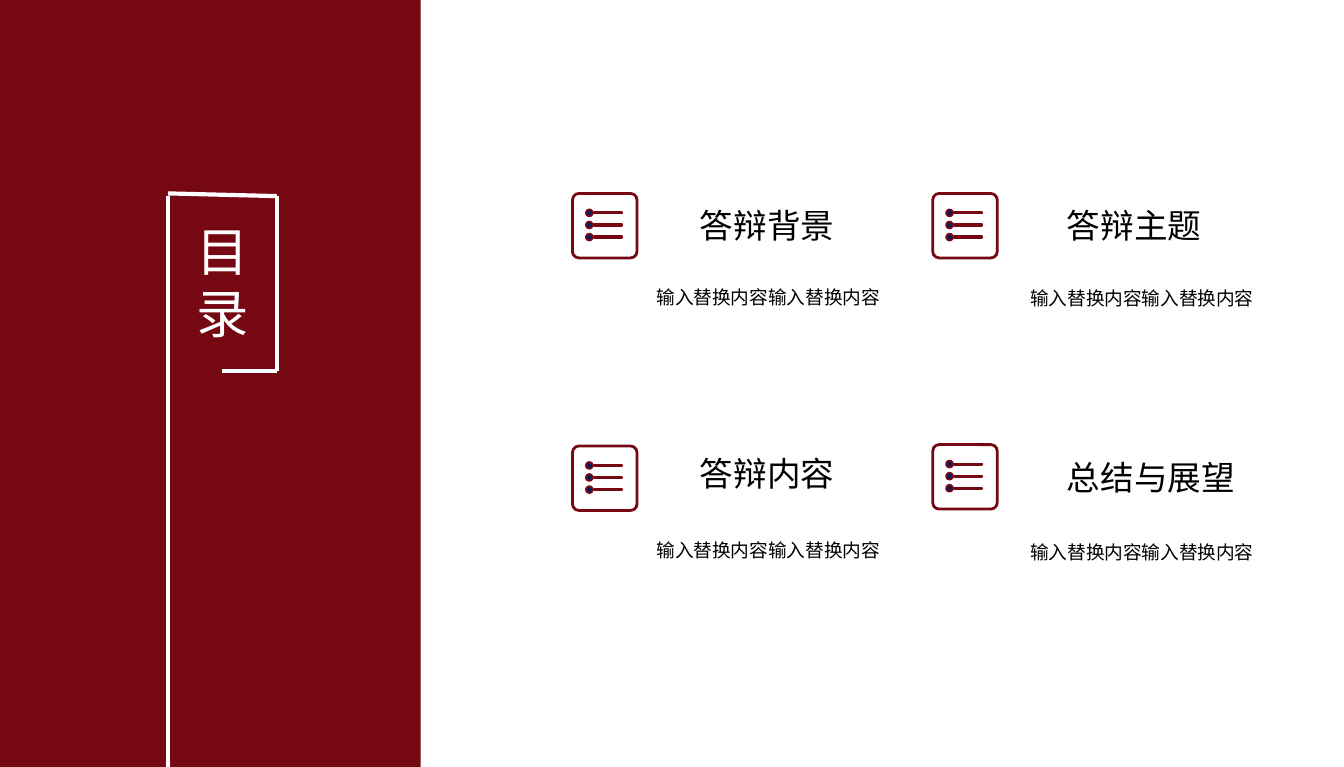
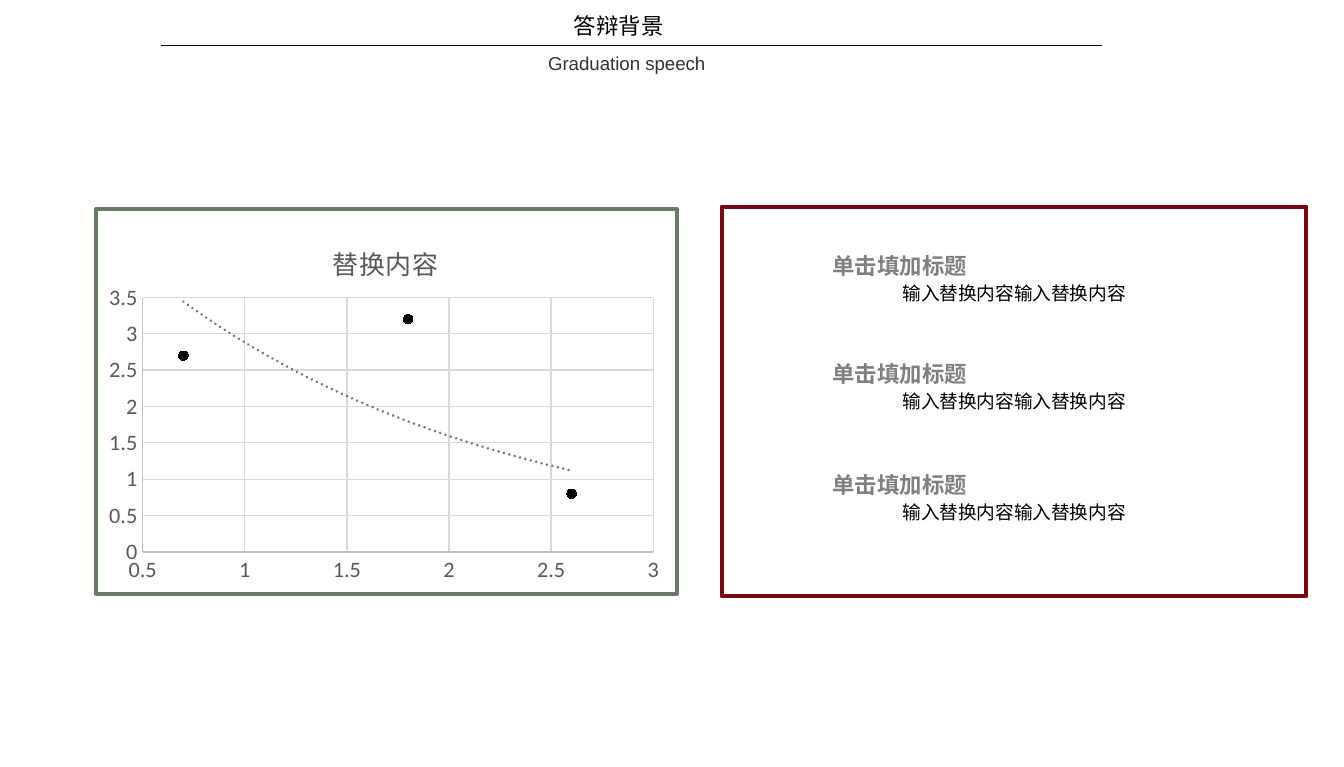
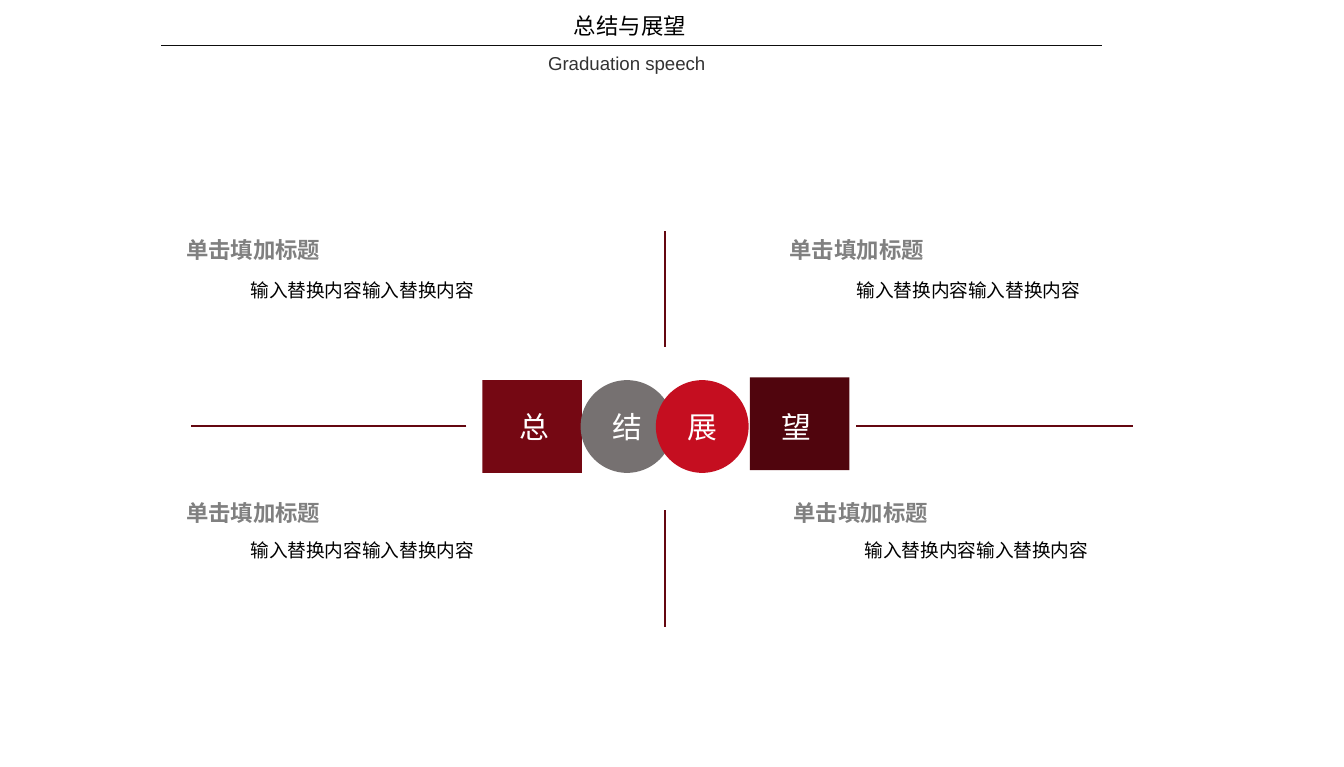
from dataclasses import dataclass

from lxml import etree
from pptx import Presentation
from pptx import util as u
from pptx.chart.data import XyChartData
from pptx.dml.color import RGBColor
from pptx.enum import chart as charts, shapes, text
from pptx.oxml import parse_xml
from pptx.oxml.ns import nsdecls, qn

PX = 9144
SHAPE = shapes.MSO_SHAPE
LEFT, CENTER = text.PP_ALIGN.LEFT, text.PP_ALIGN.CENTER


@dataclass(frozen=True)
class Theme:
    font: str = "Noto Sans CJK SC"
    latin: str = "Arial"
    numerals: str = "Calibri"
    white: str = "FFFFFF"
    black: str = "000000"
    wine: str = "750813"
    wine_dark: str = "50050D"
    wine_line: str = "640710"
    red: str = "C50E20"
    navy: str = "002060"
    taupe: str = "767171"
    grey: str = "808080"
    rule: str = "0D0D0D"
    subtitle: str = "333333"
    sage: str = "697A67"
    chart_text: str = "595959"
    axis: str = "BFBFBF"
    grid: str = "D9D9D9"
    contents_size: int = 28
    item_size: int = 18
    badge_size: int = 16
    chart_title_size: int = 14
    head_size: int = 12
    body_size: int = 10


def rgb(color):
    return RGBColor.from_string(color)


def set_line(line, color, width):
    line.color.rgb = rgb(color)
    line.width = u.Pt(width)


def set_font(font, size, color, name, bold=False):
    font.size, font.bold, font.name = u.Pt(size), bold, name
    font.color.rgb = rgb(color)


def manual_layout(x, y, w=None, h=None):
    inner = '<c:layoutTarget val="inner"/>' if w else ""
    modes = '<c:xMode val="edge"/><c:yMode val="edge"/>'
    sides = {"x": x, "y": y, "w": w, "h": h}
    values = "".join(f'<c:{k} val="{v}"/>' for k, v in sides.items() if v)
    return parse_xml(f'<c:layout {nsdecls("c")}><c:manualLayout>'
                     f'{inner}{modes}{values}</c:manualLayout></c:layout>')


class Deck:
    def __init__(self, width, height):
        self.prs = Presentation()
        self.prs.slide_width, self.prs.slide_height = width * PX, height * PX
        self.theme = Theme()
        self.slide = None

    def new_slide(self):
        self.slide = self.prs.slides.add_slide(self.prs.slide_layouts[5])

    def set_text(self, sp, content, size, color, align=LEFT, font=None, bold=False,
                 spacing=None):
        p = sp.text_frame.paragraphs[0]
        p.text = content
        p.alignment = align
        if spacing:
            p.line_spacing = spacing
        font = font or self.theme.font
        set_font(p.font, size, color, font, bold)
        latin = p._p.pPr.find(qn("a:defRPr")).find(qn("a:latin"))
        latin.addnext(parse_xml(f'<a:ea {nsdecls("a")} typeface="{font}"/>'))

    def fit(self, sp, wrap, anchor=text.MSO_ANCHOR.TOP):
        tf = sp.text_frame
        tf.word_wrap = wrap
        tf.auto_size = text.MSO_AUTO_SIZE.SHAPE_TO_FIT_TEXT
        tf.vertical_anchor = anchor

    def title(self, x, y, w, h, content, size, color, wrap=False):
        sp = self.slide.shapes.title
        sp.element.getparent().append(sp.element)
        sp.left, sp.top, sp.width, sp.height = [v * PX for v in (x, y, w, h)]
        self.fit(sp, wrap)
        self.set_text(sp, content, size, color)

    def text(self, x, y, w, h, content, size, color=None, wrap=True, inset=True, **style):
        sp = self.slide.shapes.add_textbox(x * PX, y * PX, w * PX, h * PX)
        self.fit(sp, wrap)
        if not inset:
            tf = sp.text_frame
            tf.margin_left = tf.margin_right = tf.margin_top = tf.margin_bottom = 0
        self.set_text(sp, content, size, color or self.theme.black, **style)

    def heading(self, x, y):
        self.text(x, y, 137, 24, "单击填加标题", self.theme.head_size, self.theme.grey,
                  inset=False, align=CENTER, bold=True, spacing=1.2)

    def caption(self, x, y, w=297, h=27):
        self.text(x, y, w, h, "输入替换内容输入替换内容", self.theme.body_size, align=CENTER)

    def shape(self, kind, x, y, w, h, fill=None, line=None, width=1, parent=None):
        sp = (parent or self.slide).shapes.add_shape(kind, x * PX, y * PX, w * PX, h * PX)
        sp.shadow.inherit = False
        if fill:
            sp.fill.solid()
            sp.fill.fore_color.rgb = rgb(fill)
        else:
            sp.fill.background()
        if line:
            set_line(sp.line, line, width)
        else:
            sp.line.fill.background()
        return sp

    def line(self, x1, y1, x2, y2, color, width):
        ln = self.slide.shapes.add_connector(
            shapes.MSO_CONNECTOR.STRAIGHT, x1 * PX, y1 * PX, x2 * PX, y2 * PX)
        set_line(ln.line, color, width)
        etree.SubElement(ln._element.spPr, qn("a:effectLst"))

    def list_icon(self, x, y):
        t = self.theme
        group = self.slide.shapes.add_group_shape()
        frame = self.shape(SHAPE.ROUNDED_RECTANGLE, x, y, 48, 48, None, t.wine, 1.5, group)
        frame.adjustments[0] = 0.1
        for row in range(3):
            top = y + 12 + 9 * row
            self.shape(SHAPE.OVAL, x + 10, top, 5, 5, t.navy, t.wine, 1, group)
            self.shape(SHAPE.RECTANGLE, x + 16, top + 2, 21, 1, t.navy, t.wine, 1, group)

    def badge(self, x, fill, content):
        sp = self.shape(SHAPE.OVAL, x, 283, 69, 69, fill)
        sp.text_frame.vertical_anchor = text.MSO_ANCHOR.MIDDLE
        self.set_text(sp, content, self.theme.badge_size, self.theme.white, CENTER)

    def header(self, content, width):
        t = self.theme
        self.line(120, 34, 820, 34, t.rule, 0.5)
        self.title(417, 4, width, 30, content, t.head_size, t.black)
        self.text(398, 34, 167, 27, "Graduation speech", t.body_size, t.subtitle, font=t.latin)

    def scatter(self, x, y, w, h, title, points):
        t = self.theme
        data = XyChartData()
        series = data.add_series("Series 1")
        for point in points:
            series.add_data_point(*point)
        chart = self.slide.shapes.add_chart(
            charts.XL_CHART_TYPE.XY_SCATTER, x * PX, y * PX, w * PX, h * PX, data).chart
        set_font(chart.font, t.body_size, t.black, t.numerals)
        chart.has_legend = False
        chart.has_title = True
        p = chart.chart_title.text_frame.paragraphs[0]
        p.text = title
        set_font(p.font, t.chart_title_size, t.chart_text, t.font)
        self.style_axis(chart.category_axis, 0.5, 3)
        self.style_axis(chart.value_axis, 0, 3.5)
        self.style_points(chart.plots[0])
        self.frame_chart(chart)

    def style_axis(self, axis, low, high):
        t = self.theme
        axis.minimum_scale, axis.maximum_scale, axis.major_unit = low, high, 0.5
        axis.major_tick_mark = axis.minor_tick_mark = charts.XL_TICK_MARK.NONE
        axis.has_major_gridlines = True
        set_line(axis.major_gridlines.format.line, t.grid, 0.75)
        set_line(axis.format.line, t.axis, 0.75)
        set_font(axis.tick_labels.font, t.head_size, t.chart_text, t.numerals)

    def style_points(self, plot):
        t = self.theme
        plot.vary_by_categories = False
        series = plot.series[0]
        series.format.line.fill.background()
        marker = series.marker
        marker.style, marker.size = charts.XL_MARKER_STYLE.CIRCLE, 5
        marker.format.fill.solid()
        marker.format.fill.fore_color.rgb = rgb(t.black)
        set_line(marker.format.line, t.black, 0.75)
        series._element.find(qn("c:xVal")).addprevious(parse_xml(
            f'<c:trendline {nsdecls("c", "a")}><c:spPr><a:ln w="{u.Pt(1.5)}" cap="rnd">'
            f'<a:solidFill><a:srgbClr val="{t.sage}"/></a:solidFill>'
            '<a:prstDash val="sysDot"/></a:ln></c:spPr><c:trendlineType val="exp"/>'
            '<c:dispRSqr val="0"/><c:dispEq val="0"/></c:trendline>'))

    def frame_chart(self, chart):
        root = chart._chartSpace.find(qn("c:chart"))
        root.addnext(parse_xml(
            f'<c:spPr {nsdecls("c", "a")}><a:noFill/><a:ln w="{u.Pt(2.25)}"><a:solidFill>'
            f'<a:srgbClr val="{self.theme.sage}"/></a:solidFill><a:round/></a:ln></c:spPr>'))
        title, plot = root.find(qn("c:title")), root.find(qn("c:plotArea"))
        for part in (title, plot):
            for layout in part.findall(qn("c:layout")):
                part.remove(layout)
        title.find(qn("c:tx")).addnext(manual_layout(0.4, 0.07))
        plot.insert(0, manual_layout(0.08, 0.23, 0.88, 0.66))


def contents(deck):
    t = deck.theme
    deck.new_slide()
    deck.shape(SHAPE.RECTANGLE, 0, 0, 313, 571, t.wine)
    for ends in ((125, 571, 125, 146), (125, 144, 206, 146),
                 (206, 146, 206, 276), (206, 276, 165, 276)):
        deck.line(*ends, t.white, 2.25)
    deck.title(136, 158, 54, 104, "目录", t.contents_size, t.white, wrap=True)
    items = (("答辩背景", (426, 144), (511, 148, 121), (464, 208)),
             ("答辩主题", (694, 144), (784, 148, 121), (742, 209)),
             ("答辩内容", (426, 332), (511, 332, 121), (464, 396)),
             ("总结与展望", (694, 331), (784, 335, 146), (742, 398)))
    for name, icon, label, caption in items:
        deck.list_icon(*icon)
        deck.text(*label, 40, name, t.item_size, wrap=False)
        deck.caption(*caption, w=215)


def background(deck):
    deck.new_slide()
    deck.header("答辩背景", 88)
    deck.scatter(70, 154, 435, 290, "替换内容", ((0.7, 2.7), (1.8, 3.2), (2.6, 0.8)))
    deck.shape(SHAPE.RECTANGLE, 537, 154, 435, 290, None, deck.theme.wine, 2.25)
    for y, height in ((184, 91), (264, 91), (347, 27)):
        deck.caption(606, y + 21, h=height)
        deck.heading(601, y)


def outlook(deck):
    t = deck.theme
    deck.new_slide()
    deck.shape(SHAPE.RECTANGLE, 558, 281, 74, 69, t.wine_dark)
    deck.shape(SHAPE.RECTANGLE, 359, 283, 74, 69, t.wine)
    deck.header("总结与展望", 104)
    deck.badge(432, t.taupe, "结")
    deck.badge(488, t.red, "展")
    for ends in ((495, 172, 495, 258), (347, 317, 142, 317),
                 (843, 317, 637, 317), (495, 380, 495, 467)):
        deck.line(*ends, t.wine_line, 1)
    for x, content in ((377, "总"), (572, "望")):
        deck.text(x, 299, 43, 37, content, t.badge_size, t.white, wrap=False)
    for heading, caption in (((120, 172), (121, 203)), ((120, 368), (121, 396)),
                             ((569, 172), (572, 203)), ((572, 368), (578, 396))):
        deck.caption(*caption)
        deck.heading(*heading)


def main():
    deck = Deck(1000, 571)
    contents(deck)
    background(deck)
    outlook(deck)
    deck.prs.save("out.pptx")


if __name__ == "__main__":
    main()
